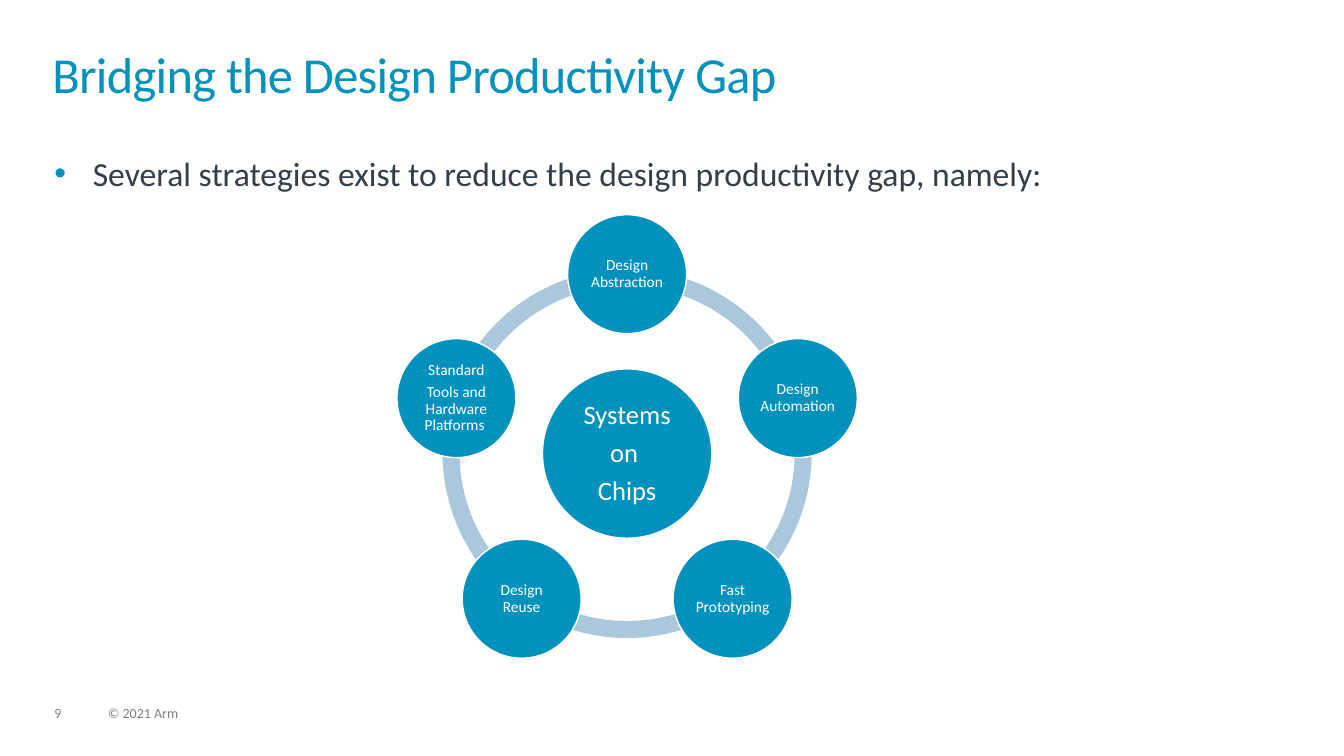
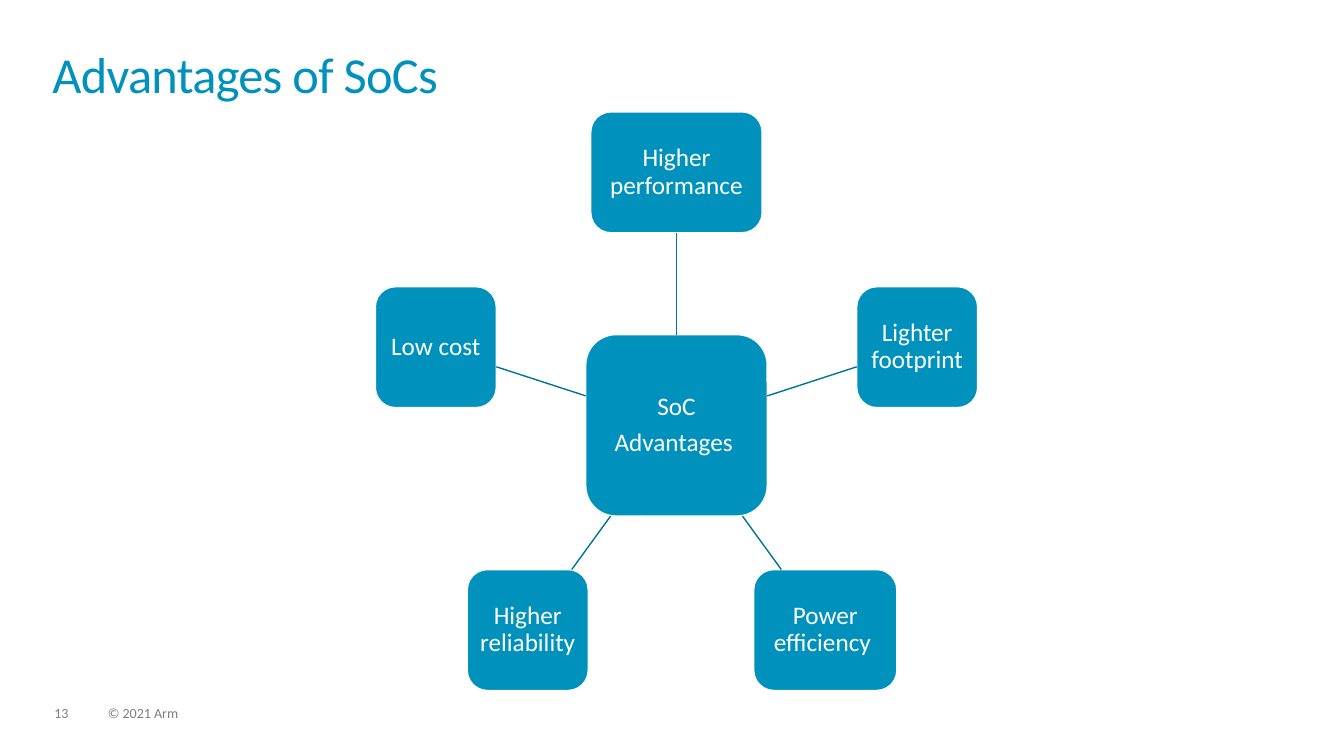
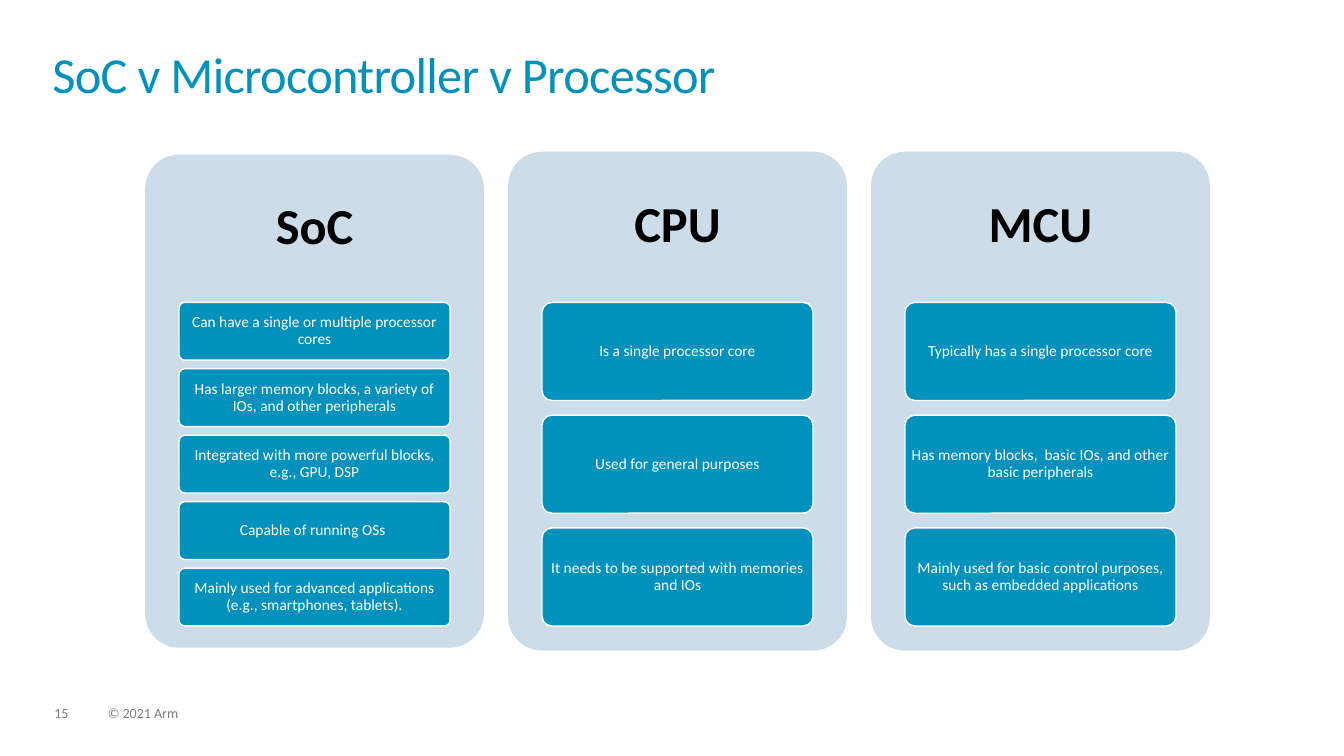
from math import cos, radians, sin

from lxml import etree
from pptx import Presentation
from pptx.dml.color import RGBColor
from pptx.enum.shapes import MSO_CONNECTOR, MSO_SHAPE as SHAPE
from pptx.enum.text import MSO_ANCHOR as ANCHOR, MSO_AUTO_SIZE, PP_ALIGN as ALIGN
from pptx.oxml.ns import qn
from pptx.util import Inches, Pt

# Slide size in inches and shared style
WIDTH, HEIGHT = 13.33, 7.5
FONT = "Calibri"
BLUE = RGBColor(0x00, 0x91, 0xBD)
DARK_BLUE = RGBColor(0x00, 0x74, 0x97)
RING_BLUE = RGBColor(0xAB, 0xC7, 0xDB)
CARD_BLUE = RGBColor(0xCC, 0xDC, 0xE8)
SLATE = RGBColor(0x33, 0x3E, 0x48)
GREY = RGBColor(0x7F, 0x7F, 0x7F)
BLACK = RGBColor(0x00, 0x00, 0x00)
WHITE = RGBColor(0xFF, 0xFF, 0xFF)


def write(shape, lines, size, color, align=ALIGN.CENTER, anchor=ANCHOR.MIDDLE,
          spacing=0.9, margins=(0, 0), bold=False):
    """Fill a shape with one paragraph per line."""
    frame = shape.text_frame
    frame.word_wrap = True
    frame.auto_size = MSO_AUTO_SIZE.NONE
    frame.vertical_anchor = anchor
    frame.margin_left = frame.margin_right = Inches(margins[0])
    frame.margin_top = frame.margin_bottom = Inches(margins[1])
    for index, line in enumerate(lines):
        paragraph = frame.add_paragraph() if index else frame.paragraphs[0]
        paragraph.alignment = align
        paragraph.line_spacing = spacing
        paragraph.space_before = Pt(size * 0.35 if index else 0)
        run = paragraph.add_run()
        run.text = line
        run.font.name = FONT
        run.font.size = Pt(size)
        run.font.bold = bold
        run.font.color.rgb = color


def add_block(slide, kind, center, size, fill=BLUE, outlined=True):
    """Draw a filled shape around its center."""
    (x, y), (width, height) = center, size
    shape = slide.shapes.add_shape(kind, Inches(x - width / 2), Inches(y - height / 2),
                                   Inches(width), Inches(height))
    shape.shadow.inherit = False
    shape.fill.solid()
    shape.fill.fore_color.rgb = fill
    if outlined:
        shape.line.color.rgb = WHITE
        shape.line.width = Pt(1)
    else:
        shape.line.fill.background()
    return shape


presentation = Presentation()
presentation.slide_width, presentation.slide_height = Inches(WIDTH), Inches(HEIGHT)

# Titles, page numbers and copyright lines
slides = []
for layout, number, heading in [
    (1, "9", "Bridging the Design Productivity Gap"),
    (5, "13", "Advantages of SoCs"),
    (5, "15", "SoC v Microcontroller v Processor"),
]:
    slide = presentation.slides.add_slide(presentation.slide_layouts[layout])
    slides.append(slide)
    title = slide.shapes.title
    title.left, title.top = Inches(0.52), Inches(0.52)
    title.width, title.height = Inches(12.28), Inches(0.72)
    write(title, [heading], 36, BLUE, ALIGN.LEFT, ANCHOR.TOP, spacing=0.85)
    title.text_frame.paragraphs[0].runs[0].font._element.set("spc", "-50")
    for left, width, text in [(0.54, 0.34, number), (1.07, 5.07, "© 2021 Arm")]:
        footer = slide.shapes.add_textbox(Inches(left), Inches(7.01), Inches(width), Inches(0.15))
        write(footer, [text], 10, GREY, ALIGN.LEFT, ANCHOR.TOP)
gap_slide, advantages_slide, comparison_slide = slides

# Design gap: bulleted lead-in
body = gap_slide.placeholders[1]
body.left, body.top = Inches(0.54), Inches(1.52)
body.width, body.height = Inches(12.23), Inches(4.75)
properties = body.text_frame.paragraphs[0]._p.get_or_add_pPr()
properties.set("marL", str(Inches(0.38)))
properties.set("indent", str(-Inches(0.38)))
bullet_color = etree.SubElement(properties, qn("a:buClr"))
etree.SubElement(bullet_color, qn("a:srgbClr"), val=str(BLUE))
etree.SubElement(properties, qn("a:buFont"), typeface="Arial")
etree.SubElement(properties, qn("a:buChar"), char="•")
write(body, ["Several strategies exist to reduce the design productivity gap, namely:"],
      24, SLATE, ALIGN.LEFT, ANCHOR.TOP, spacing=1.0)

# Design gap: ring of arcs, hub and strategies
STEP = 360 / 5
ring_x, ring_y, ring_radius = 6.22, HEIGHT * 0.6, 1.78
for index in range(5):
    arc = add_block(gap_slide, SHAPE.BLOCK_ARC, (ring_x, ring_y), (3.66, 3.66), RING_BLUE, False)
    start = 270 + index * STEP
    # Angles are stored in 60000ths of a degree, adjustments in 100000ths
    arc.adjustments[0] = start % 360 * 0.6
    arc.adjustments[1] = (start + STEP) % 360 * 0.6
    arc.adjustments[2] = 0.046
hub = add_block(gap_slide, SHAPE.OVAL, (ring_x, ring_y), (1.68, 1.68))
write(hub, ["Systems", "on ", "Chips"], 19, WHITE, margins=(0.03, 0.03))

strategies = [
    ["Design Abstraction"],
    ["Design Automation"],
    ["Fast Prototyping"],
    ["Design Reuse"],
    ["Standard", "Tools and Hardware Platforms "],
]
for index, lines in enumerate(strategies):
    angle = radians(index * STEP)
    center = (ring_x + ring_radius * sin(angle), ring_y - ring_radius * cos(angle))
    strategy = add_block(gap_slide, SHAPE.OVAL, center, (1.18, 1.18))
    write(strategy, lines, 11, WHITE, margins=(0.02, 0.02))

# Advantages: hub with five spokes
hub_x, hub_y, spoke, hub_size, node_height = 6.71, 4.22, 2.51, 1.8, 1.2
hub = add_block(advantages_slide, SHAPE.ROUNDED_RECTANGLE, (hub_x, hub_y), (hub_size, hub_size))
write(hub, ["SoC", "Advantages "], 18, WHITE, margins=(0.05, 0.05))

advantages = [
    ("Higher performance", 1.7),
    ("Lighter footprint", 1.2),
    ("Power efficiency ", 1.42),
    ("Higher reliability", 1.2),
    ("Low cost", 1.2),
]
for index, (text, width) in enumerate(advantages):
    angle = radians(index * STEP)
    across, up = sin(angle), cos(angle)
    node = add_block(advantages_slide, SHAPE.ROUNDED_RECTANGLE,
                     (hub_x + spoke * across, hub_y - spoke * up), (width, node_height))
    write(node, [text], 18, WHITE, margins=(0.05, 0.05))
    # The spoke runs from the hub's edge to the node's edge
    steepness = max(abs(across), abs(up))
    near = hub_size / 2 / steepness
    far = spoke - node_height / 2 / steepness
    line = advantages_slide.shapes.add_connector(
        MSO_CONNECTOR.STRAIGHT,
        Inches(hub_x + near * across), Inches(hub_y - near * up),
        Inches(hub_x + far * across), Inches(hub_y - far * up))
    line.line.color.rgb = DARK_BLUE
    line.line.width = Pt(1)
    etree.SubElement(line._element.spPr, qn("a:effectLst"))
    if index == 0:
        line.begin_connect(hub, 0)
        line.end_connect(node, 2)

# Comparison: three cards of stacked boxes
cards = [
    ("SoC", 4.89, [
        "Can have a single or multiple processor cores",
        "Has larger memory blocks, a variety of IOs, and other peripherals",
        "Integrated with more powerful blocks, e.g., GPU, DSP",
        "Capable of running OSs ",
        "Mainly used for advanced applications (e.g., smartphones, tablets).",
    ]),
    ("CPU", 4.95, [
        "Is a single processor core",
        "Used for general purposes",
        "It needs to be supported with memories and IOs",
    ]),
    ("MCU", 4.95, [
        "Typically has a single processor core",
        "Has memory blocks,  basic IOs, and other basic peripherals",
        "Mainly used for basic control purposes, such as embedded applications",
    ]),
]
card_width, card_pitch, card_middle = 3.36, 3.6, 3.98
stack_top, stack_height, gap_share = 3.0, 3.21, 0.15
for column, (heading, card_height, facts) in enumerate(cards):
    card_x = 6.72 + (column - 1) * card_pitch
    card = add_block(comparison_slide, SHAPE.ROUNDED_RECTANGLE, (card_x, card_middle),
                     (card_width, card_height), CARD_BLUE, False)
    card.adjustments[0] = 0.1
    label = comparison_slide.shapes.add_textbox(card.left, card.top, card.width,
                                                Inches(card_height * 0.3))
    write(label, [heading], 36, BLACK, margins=(0.15, 0.15), bold=True)
    box_height = stack_height / (len(facts) + gap_share * (len(facts) - 1))
    for row, fact in enumerate(facts):
        box_y = stack_top + box_height * (0.5 + row * (1 + gap_share))
        box = add_block(comparison_slide, SHAPE.ROUNDED_RECTANGLE, (card_x, box_y),
                        (card_width * 0.8, box_height))
        box.adjustments[0] = 0.1
        write(box, [fact], 11, WHITE, margins=(0.03, 0.02))

presentation.save("out.pptx")
